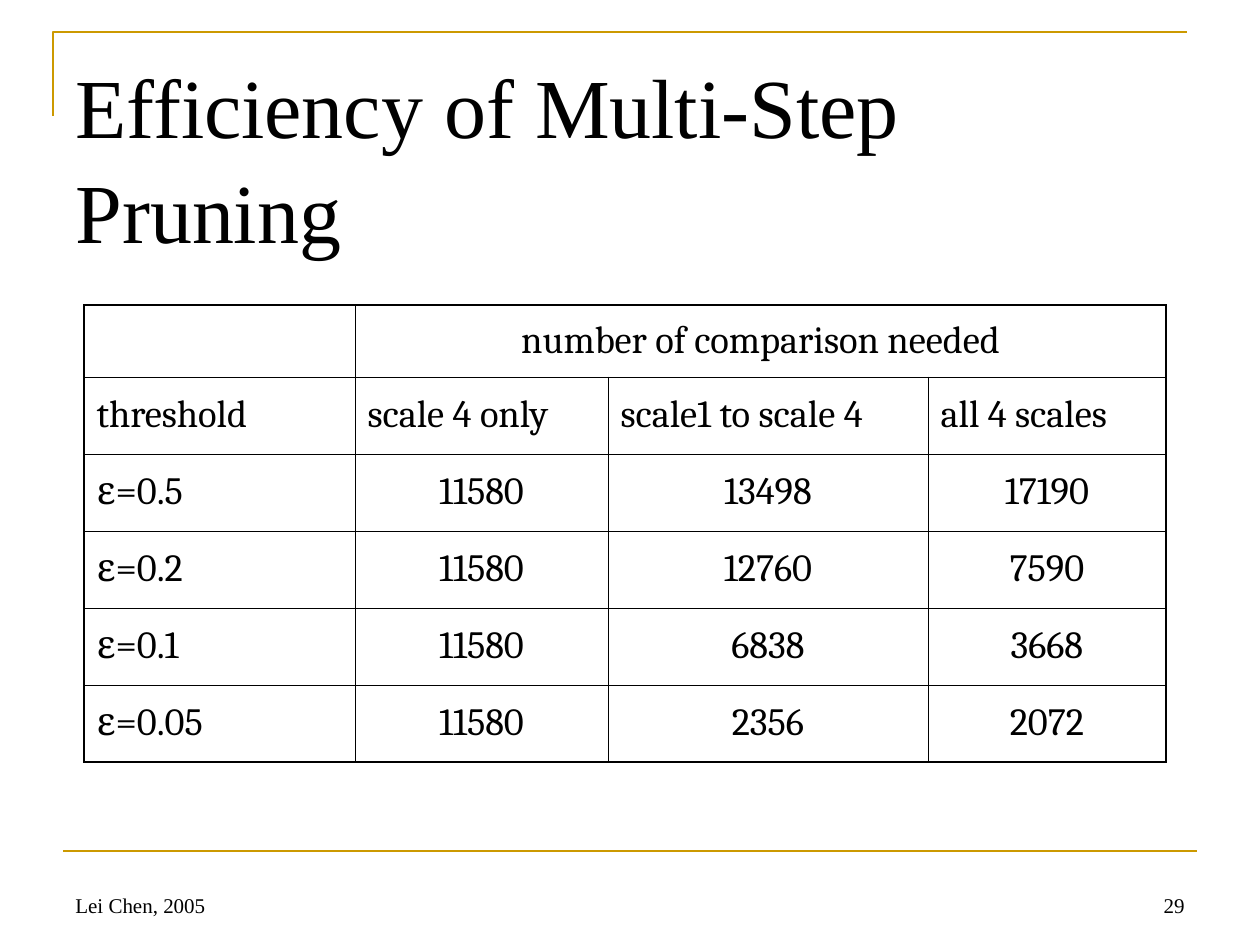
from lxml.etree import SubElement
from pptx import Presentation
from pptx.dml.color import RGBColor
from pptx.enum.shapes import MSO_CONNECTOR
from pptx.enum.text import MSO_ANCHOR, PP_ALIGN
from pptx.oxml.ns import qn
from pptx.util import Pt

PX_PER_INCH = 126
GOLD, BLACK = "CC9900", "000000"
SERIF, TABLE_FONT = "Times New Roman", "Cambria"
OUTER_WIDTH, INNER_WIDTH = 1.08, 0.45

COLUMN_WIDTHS = [271, 253, 320, 238]
ROW_HEIGHTS = [72] + [77] * 5
COMPARISONS = [
    ["", "number of comparison needed", "", ""],
    ["threshold", "scale 4 only", "scale1 to scale 4", "all 4 scales"],
    ["ε=0.5", "11580", "13498", "17190"],
    ["ε=0.2", "11580", "12760", "7590"],
    ["ε=0.1", "11580", "6838", "3668"],
    ["ε=0.05", "11580", "2356", "2072"],
]


def px(length):
    return round(length * 914400 / PX_PER_INCH)


def color(hex_value):
    return RGBColor.from_string(hex_value)


def write(frame, text, size, font=SERIF, align=PP_ALIGN.LEFT, spacing=None):
    paragraph = frame.paragraphs[0]
    paragraph.alignment = align
    paragraph.line_spacing = spacing
    run = paragraph.add_run()
    run.text = text
    run.font.size = Pt(size)
    run.font.name = font
    run.font.color.rgb = color(BLACK)


def add_text(slide, text, left, top, width, height, anchor=MSO_ANCHOR.BOTTOM,
             top_inset=6, **text_format):
    box = slide.shapes.add_textbox(px(left), px(top), px(width), px(height))
    frame = box.text_frame
    frame.word_wrap = True
    frame.vertical_anchor = anchor
    frame.margin_top = px(top_inset)
    write(frame, text, **text_format)


def style_line(line):
    line.color.rgb = color(GOLD)
    line.width = Pt(1.5)


def add_corner_rule(slide):
    builder = slide.shapes.build_freeform(px(53), px(116))
    builder.add_line_segments([(px(53), px(32)), (px(1187), px(32))], close=False)
    corner = builder.convert_to_shape()
    corner.shadow.inherit = False
    corner.fill.background()
    style_line(corner.line)


def add_footer_rule(slide):
    rule = slide.shapes.add_connector(
        MSO_CONNECTOR.STRAIGHT, px(63), px(851), px(1197), px(851))
    style_line(rule.line)
    SubElement(rule._element.spPr, qn("a:effectLst"))


def set_borders(cell, widths):
    """Draw the left, right, top and bottom borders, in that order."""
    properties = cell._tc.get_or_add_tcPr()
    for position, (side, width) in enumerate(zip("LRTB", widths)):
        border = SubElement(properties, qn(f"a:ln{side}"), w=str(Pt(width)))
        fill = SubElement(border, qn("a:solidFill"))
        SubElement(fill, qn("a:srgbClr"), val=BLACK)
        properties.insert(position, border)


def add_comparison_table(slide):
    last_row, last_column = len(ROW_HEIGHTS) - 1, len(COLUMN_WIDTHS) - 1
    table = slide.shapes.add_table(
        last_row + 1, last_column + 1, px(84), px(305),
        px(sum(COLUMN_WIDTHS)), px(sum(ROW_HEIGHTS))).table
    table.first_row = table.horz_banding = False
    for column, width in zip(table.columns, COLUMN_WIDTHS):
        column.width = px(width)
    for row, height in zip(table.rows, ROW_HEIGHTS):
        row.height = px(height)
    table.cell(0, 1).merge(table.cell(0, last_column))

    for r, texts in enumerate(COMPARISONS):
        for c, text in enumerate(texts):
            cell = table.cell(r, c)
            cell.fill.background()
            cell.vertical_anchor = MSO_ANCHOR.MIDDLE
            at_edge = [c == 0, c == last_column or (r == 0 and c > 0),
                       r == 0, r == last_row]
            set_borders(cell, [OUTER_WIDTH if edge else INNER_WIDTH
                               for edge in at_edge])
            if text:
                centred = c > 0 and r != 1
                write(cell.text_frame, text, size=22, font=TABLE_FONT,
                      align=PP_ALIGN.CENTER if centred else PP_ALIGN.LEFT)


def main():
    presentation = Presentation()
    presentation.slide_width = px(1260)
    presentation.slide_height = px(945)
    slide = presentation.slides.add_slide(presentation.slide_layouts[6])

    add_corner_rule(slide)
    add_footer_rule(slide)
    add_text(slide, "Efficiency of Multi-Step Pruning", 63, 38, 1134, 157,
             anchor=MSO_ANCHOR.TOP, top_inset=11, size=48, spacing=1.05)
    add_comparison_table(slide)
    add_text(slide, "Lei Chen, 2005", 63, 861, 399, 63, size=12)
    add_text(slide, "29", 903, 861, 294, 63, size=12, align=PP_ALIGN.RIGHT)

    presentation.save("out.pptx")


if __name__ == "__main__":
    main()
